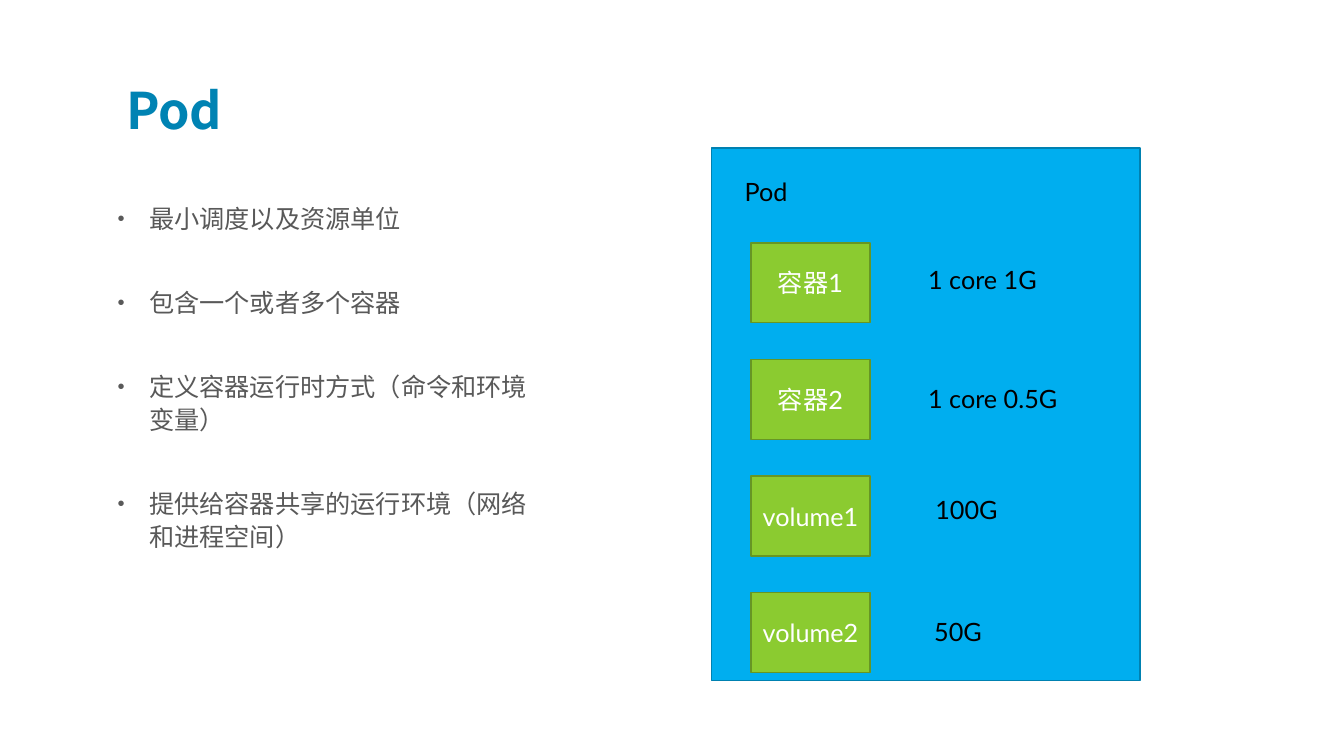
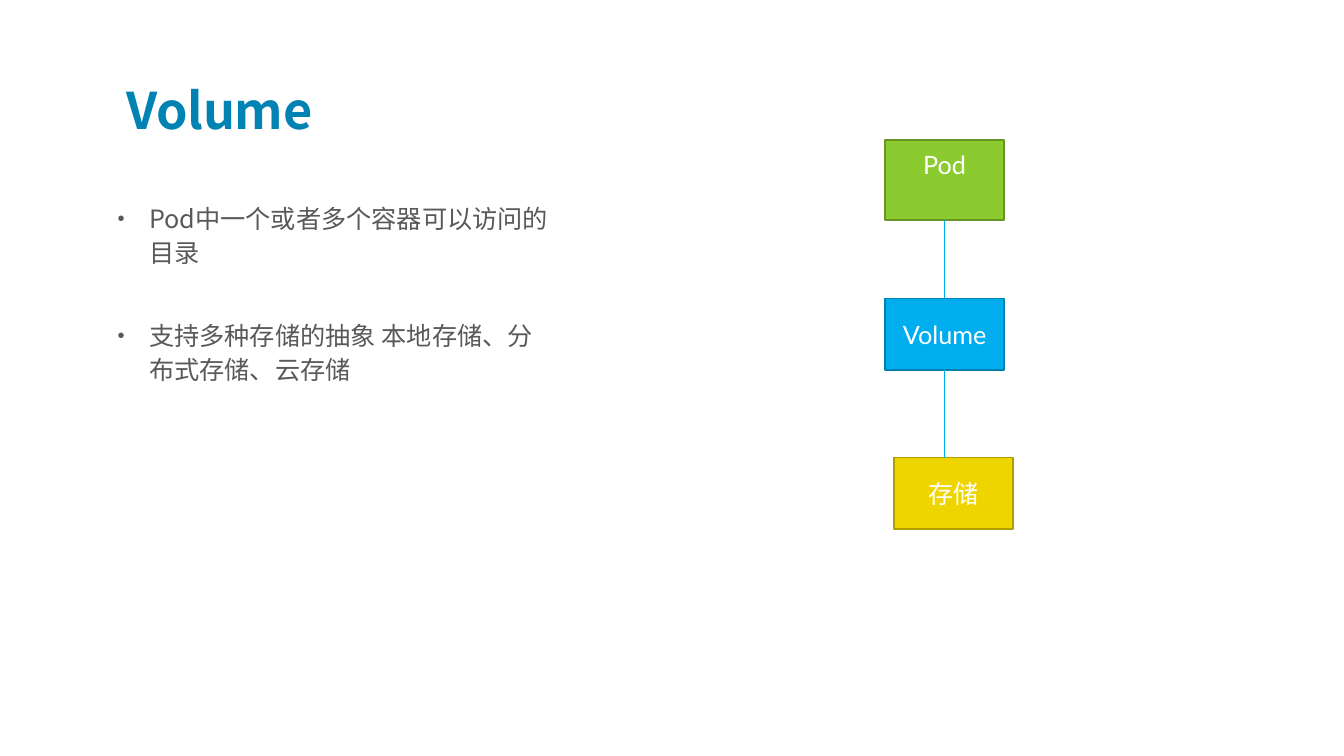
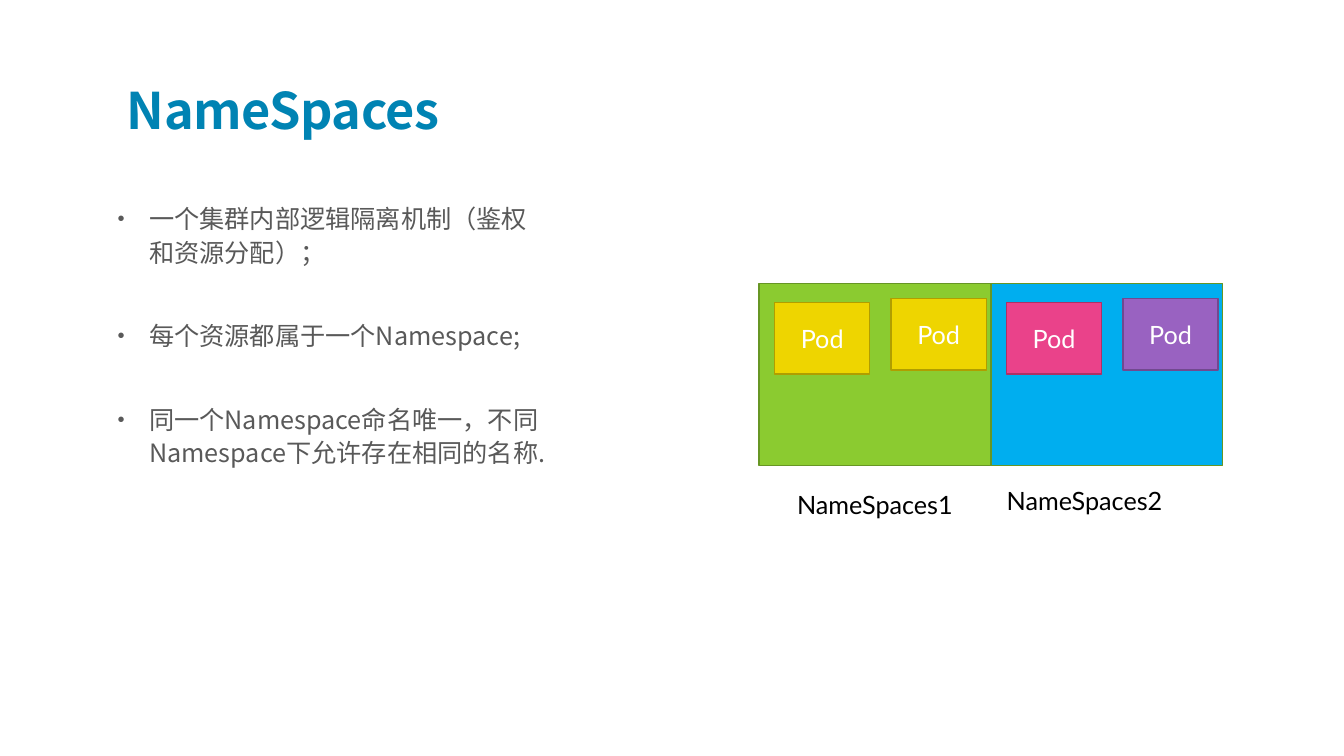
"""Build three slides on Pod, Volume and NameSpaces concepts."""
from dataclasses import dataclass

from lxml.etree import SubElement
from pptx import Presentation
from pptx.dml.color import RGBColor
from pptx.enum.shapes import MSO_CONNECTOR, MSO_SHAPE
from pptx.enum.text import MSO_ANCHOR, MSO_AUTO_SIZE, PP_ALIGN
from pptx.oxml.ns import qn
from pptx.shapes.autoshape import Shape
from pptx.slide import Slide
from pptx.text.text import TextFrame
from pptx.util import Pt

COLORS = {
    "title": "0083B3", "body": "595959", "black": "000000", "white": "FFFFFF",
    "blue": "00AEEF", "blue_edge": "0081B1",
    "green": "8BCB30", "green_edge": "679624",
    "yellow": "EED500", "yellow_edge": "B09E00",
    "purple": "9962C1", "purple_edge": "71498F",
    "pink": "EA428A", "pink_edge": "AD3166",
}
CJK_FONT = "Noto Sans CJK SC"
LABEL_FONT = "Lato"
LINE_PITCH = 23.8
BULLET_GAP = 36
BULLET_INDENT = 22.5


@dataclass(frozen=True)
class Box:
    """A coloured rectangle with an optional caption."""
    left: float
    top: float
    width: float
    height: float
    fill: str
    text: str = ""
    edge: str = ""


@dataclass(frozen=True)
class Label:
    """A line of black text placed by its top left corner."""
    left: float
    top: float
    text: str


def rgb(name: str) -> RGBColor:
    """Return the named palette colour."""
    return RGBColor.from_string(COLORS[name])


def write_text(frame: TextFrame, *lines: str, font: str = LABEL_FONT, size: float = 18,
               color: str = "black", bold: bool = False, spacing: int = 0,
               align: PP_ALIGN = PP_ALIGN.LEFT, anchor: MSO_ANCHOR = MSO_ANCHOR.TOP,
               bullets: bool = False) -> None:
    """Fill a frame with one formatted paragraph per line."""
    frame.word_wrap = True
    frame.auto_size = MSO_AUTO_SIZE.NONE
    frame.vertical_anchor = anchor
    for number, line in enumerate(lines):
        paragraph = frame.add_paragraph() if number else frame.paragraphs[0]
        paragraph.alignment = align
        run = paragraph.add_run()
        run.text = line
        run.font.name, run.font.size, run.font.bold = font, Pt(size), bold
        run.font.color.rgb = rgb(color)
        properties = run.font._element
        properties.find(qn("a:latin")).addnext(
            properties.makeelement(qn("a:ea"), {"typeface": CJK_FONT}))
        if spacing:
            properties.set("spc", str(spacing))
        if bullets:
            paragraph.line_spacing = Pt(LINE_PITCH)
            paragraph.space_before = Pt(BULLET_GAP if number else 0)
            layout = paragraph._p.get_or_add_pPr()
            layout.set("marL", str(Pt(BULLET_INDENT)))
            layout.set("indent", str(-Pt(BULLET_INDENT)))
            tint = SubElement(layout, qn("a:buClr"))
            SubElement(tint, qn("a:srgbClr"), val=COLORS[color])
            SubElement(layout, qn("a:buSzPct"), val="80000")
            SubElement(layout, qn("a:buFont"), typeface="Arial")
            SubElement(layout, qn("a:buChar"), char="•")


def add_topic(deck: Presentation, title: str, *points: str) -> Slide:
    """Add a slide with a title and bulleted points."""
    slide = deck.slides.add_slide(deck.slide_layouts[5])
    heading = slide.shapes.title
    heading.left, heading.top = Pt(83.5), Pt(41.8)
    heading.width, heading.height = Pt(324), Pt(57.6)
    heading.text_frame.margin_bottom = 0
    write_text(heading.text_frame, title, font=CJK_FONT, size=36, color="title",
               bold=True, spacing=-30, anchor=MSO_ANCHOR.BOTTOM)
    body = slide.shapes.add_textbox(Pt(77), Pt(139.7), Pt(324), Pt(300))
    write_text(body.text_frame, *points, font=CJK_FONT, color="body", bullets=True)
    return slide


def add_box(slide: Slide, box: Box, anchor: MSO_ANCHOR = MSO_ANCHOR.MIDDLE) -> Shape:
    """Draw a rectangle with its caption."""
    shape = slide.shapes.add_shape(MSO_SHAPE.RECTANGLE, Pt(box.left), Pt(box.top),
                                   Pt(box.width), Pt(box.height))
    shape.shadow.inherit = False
    shape.fill.solid()
    shape.fill.fore_color.rgb = rgb(box.fill)
    shape.line.color.rgb = rgb(box.edge or f"{box.fill}_edge")
    shape.line.width = Pt(1)
    if box.text:
        write_text(shape.text_frame, box.text, color="white",
                   align=PP_ALIGN.CENTER, anchor=anchor)
    return shape


def add_label(slide: Slide, label: Label) -> None:
    """Place a black label."""
    area = slide.shapes.add_textbox(Pt(label.left), Pt(label.top), Pt(133), Pt(29))
    write_text(area.text_frame, label.text)


def add_link(slide: Slide, upper: Shape, lower: Shape, joined: bool = True) -> None:
    """Drop a vertical line from the upper box to the lower box."""
    center = upper.left + upper.width // 2
    link = slide.shapes.add_connector(MSO_CONNECTOR.STRAIGHT, center,
                                      upper.top + upper.height, center, lower.top)
    link.begin_connect(upper, 2)
    if joined:
        link.end_connect(lower, 0)
    link.line.color.rgb = rgb("blue")
    link.line.width = Pt(0.5)
    SubElement(link._element.spPr, qn("a:effectLst"))


def build_pod(deck: Presentation) -> None:
    """Show a pod with its containers and volumes."""
    slide = add_topic(deck, "Pod", "最小调度以及资源单位", "包含一个或者多个容器",
                      "定义容器运行时方式（命令和环境变量）",
                      "提供给容器共享的运行环境（网络和进程空间）")
    add_box(slide, Box(508.3, 105.8, 306, 380.2, "blue"))
    add_label(slide, Label(524.9, 122.4, "Pod"))
    for row, member in enumerate(("容器1", "容器2", "volume1", "volume2")):
        add_box(slide, Box(536.4, 173.5 + 83.3 * row, 85, 57, "green", member))
    for quota in (Label(655.9, 185, "1 core 1G"), Label(655.9, 270, "1 core 0.5G"),
                  Label(661, 349.2, "100G"), Label(660.2, 437, "50G")):
        add_label(slide, quota)


def build_volume(deck: Presentation) -> None:
    """Show a volume between a pod and its storage."""
    slide = add_topic(deck, "Volume", "Pod中一个或者多个容器可以访问的目录",
                      "支持多种存储的抽象 本地存储、分布式存储、云存储")
    pod = add_box(slide, Box(632.2, 100.1, 85, 57, "green", "Pod"), MSO_ANCHOR.TOP)
    pod.text_frame.margin_top = Pt(6.8)
    volume = add_box(slide, Box(632.2, 213.1, 85, 51.1, "blue", "Volume"))
    storage = add_box(slide, Box(638.6, 326.9, 85, 51.1, "yellow", "存储"))
    add_link(slide, pod, volume)
    add_link(slide, volume, storage, joined=False)


def build_namespaces(deck: Presentation) -> None:
    """Show two namespaces with two pods each."""
    slide = add_topic(deck, "NameSpaces", "一个集群内部逻辑隔离机制（鉴权和资源分配）；",
                      "每个资源都属于一个Namespace;",
                      "同一个Namespace命名唯一，不同Namespace下允许存在相同的名称.")
    left, top, width = 542.2, 202.3, 165.6
    spaces = (("green", ("yellow", "yellow"), Label(562.3, 346.3, "NameSpaces1")),
              ("blue", ("pink", "purple"), Label(712, 343.4, "NameSpaces2")))
    for column, (fill, pods, label) in enumerate(spaces):
        start = left + column * width
        add_box(slide, Box(start, top, width, 130.3, fill, edge="green_edge"))
        for pod, dx, dy in zip(pods, (11.1, 94.3), (13.7, 10.8)):
            add_box(slide, Box(start + dx, top + dy, 68, 51.1, pod, "Pod"))
        add_label(slide, label)


def main() -> None:
    """Build and save the deck."""
    deck = Presentation()
    deck.slide_width, deck.slide_height = Pt(960), Pt(540)
    for build in (build_pod, build_volume, build_namespaces):
        build(deck)
    deck.save("out.pptx")


if __name__ == "__main__":
    main()
